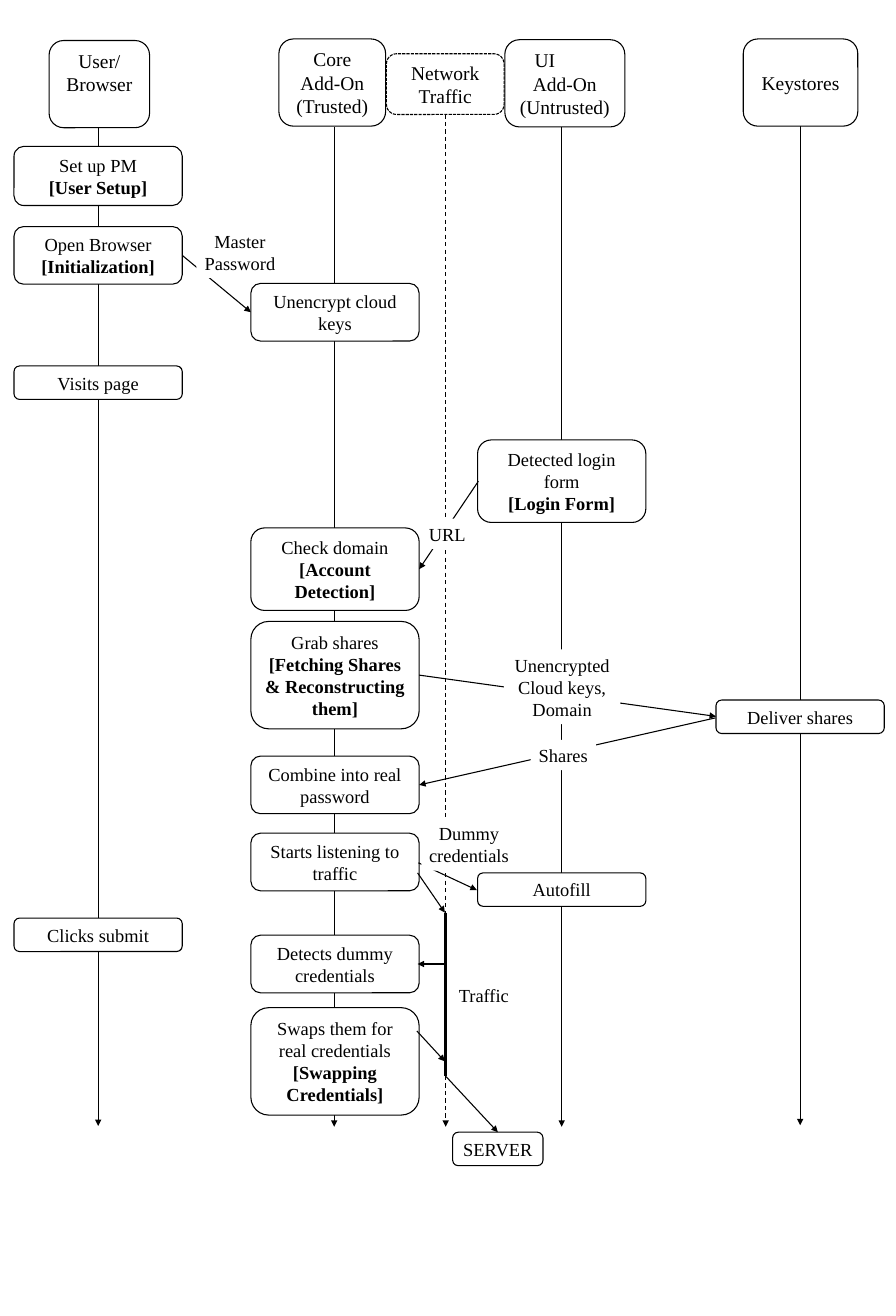
import pptx
import pptx.dml.color
import pptx.enum.dml
import pptx.enum.shapes
import pptx.enum.text
import pptx.oxml.ns
import pptx.util
from lxml import etree
from pptx.util import Inches

SHAPE = pptx.enum.shapes.MSO_SHAPE
DASH = pptx.enum.dml.MSO_LINE
ALIGN = pptx.enum.text.PP_ALIGN
ANCHOR = pptx.enum.text.MSO_ANCHOR
BLACK, WHITE = "000000", "FFFFFF"
HEADER_SIZE, STEP_SIZE = 18, 17
STEP_WIDTH = 2.16
ONE_LINE, TWO_LINES, THREE_LINES, FOUR_LINES = 0.43, 0.74, 1.06, 1.38
USER_X, CORE_X, UI_X, KEYSTORE_X = 0.18, 3.22, 6.13, 9.19
TRAFFIC_X = 5.72

# x, top, bottom, dash
LIFELINES = [
    (4.29, 1.63, 14.47, None),
    (7.21, 1.63, 14.47, None),
    (TRAFFIC_X, 1.47, 14.47, DASH.DASH),
    (1.26, 1.62, 14.46, None),
    (10.27, 1.61, 14.45, None),
]
# left, top, width, height, lines, anchor, dash
HEADERS = [
    (0.63, 0.52, 1.29, 1.12, ["User/", "Browser"], ANCHOR.TOP, None),
    (3.58, 0.5, 1.37, 1.12, ["Core", "Add-On", "(Trusted)"], ANCHOR.MIDDLE, None),
    (4.96, 0.69, 1.51, 0.78, ["Network Traffic"], ANCHOR.MIDDLE, DASH.SQUARE_DOT),
    (9.54, 0.5, 1.47, 1.12, ["Keystores"], ANCHOR.MIDDLE, None),
]
# left, top, height, lines
STEPS = [
    (USER_X, 1.88, 0.76, ["Set up PM", "[User Setup]"]),
    (USER_X, 2.91, TWO_LINES, ["Open Browser", "[Initialization]"]),
    (USER_X, 4.7, ONE_LINE, ["Visits page"]),
    (USER_X, 11.79, ONE_LINE, ["Clicks submit"]),
    (CORE_X, 3.64, TWO_LINES, ["Unencrypt cloud keys"]),
    (CORE_X, 6.78, THREE_LINES, ["Check domain", "[Account Detection]"]),
    (CORE_X, 7.98, FOUR_LINES,
     ["Grab shares", "[Fetching Shares & Reconstructing them]"]),
    (CORE_X, 9.71, TWO_LINES, ["Combine into real password"]),
    (CORE_X, 10.7, TWO_LINES, ["Starts listening to traffic"]),
    (CORE_X, 12.01, TWO_LINES, ["Detects dummy credentials"]),
    (CORE_X, 12.94, FOUR_LINES,
     ["Swaps them for real credentials", "[Swapping Credentials]"]),
    (UI_X, 5.65, THREE_LINES, ["Detected login form", "[Login Form]"]),
    (UI_X, 11.21, ONE_LINE, ["Autofill"]),
    (KEYSTORE_X, 8.99, ONE_LINE, ["Deliver shares"]),
]
MESSAGES = [
    ((2.34, 3.28), (3.22, 4.01)),
    ((6.14, 6.18), (5.38, 7.31)),
    ((5.38, 8.67), (9.19, 9.2)),
    ((9.18, 9.22), (5.38, 10.08)),
    ((5.37, 11.08), (6.12, 11.43)),
    ((5.36, 11.21), (5.71, 11.72)),
    ((5.7, 12.38), (5.36, 12.38)),
    ((5.35, 13.24), (5.71, 13.63)),
    ((TRAFFIC_X, 13.82), (6.39, 14.54)),
]
# left, top, width, height, lines
MESSAGE_LABELS = [
    (2.52, 2.9, 1.12, 0.67, ["Master", "Password"]),
    (5.4, 6.66, 0.68, 0.39, ["URL"]),
    (6.47, 8.34, 1.49, 0.96, ["Unencrypted", "Cloud keys,", "Domain"]),
    (6.81, 9.5, 0.84, 0.39, ["Shares"]),
    (5.41, 10.51, 1.22, 0.67, ["Dummy", "credentials"]),
    (5.77, 12.58, 0.88, 0.39, ["Traffic"]),
]


def color(hex_string):
    return pptx.dml.color.RGBColor.from_string(hex_string)


def apply_format(target, values):
    for name, value in values.items():
        setattr(target, name, value)


def style_line(line, width=1, dash=None):
    line.color.rgb = color(BLACK)
    apply_format(line, {"width": pptx.util.Pt(width), "dash_style": dash})


def write_lines(shape, lines, size, anchor, wrap):
    """Write one paragraph per line; bracketed phase names are bold."""
    frame = shape.text_frame
    apply_format(frame, {"word_wrap": wrap, "vertical_anchor": anchor})
    for index, text in enumerate(lines):
        paragraph = frame.paragraphs[0] if index == 0 else frame.add_paragraph()
        paragraph.alignment = ALIGN.CENTER
        run = paragraph.add_run()
        run.text = text
        apply_format(run.font, {
            "name": "Times New Roman",
            "size": pptx.util.Pt(size),
            "bold": text.startswith("["),
        })
        run.font.color.rgb = color(BLACK)


def add_panel(slide, kind, left, top, width, height):
    panel = slide.shapes.add_shape(
        kind, Inches(left), Inches(top), Inches(width), Inches(height))
    panel.shadow.inherit = False
    panel.fill.solid()
    panel.fill.fore_color.rgb = color(WHITE)
    return panel


def add_box(slide, left, top, width, height, lines, size=STEP_SIZE,
            anchor=ANCHOR.MIDDLE, dash=None):
    box = add_panel(slide, SHAPE.ROUNDED_RECTANGLE, left, top, width, height)
    style_line(box.line, dash=dash)
    write_lines(box, lines, size, anchor, True)
    return box


def add_label(slide, left, top, width, height, lines):
    label = add_panel(slide, SHAPE.RECTANGLE, left, top, width, height)
    label.line.fill.background()
    write_lines(label, lines, STEP_SIZE, ANCHOR.MIDDLE, False)


def add_line(slide, start, end, width=1, dash=None, arrow=True):
    line = slide.shapes.add_connector(
        pptx.enum.shapes.MSO_CONNECTOR.STRAIGHT,
        *(Inches(value) for value in (*start, *end)))
    style_line(line.line, width, dash)
    if arrow:
        etree.SubElement(line.line._get_or_add_ln(),
                         pptx.oxml.ns.qn("a:tailEnd"), type="triangle")
    etree.SubElement(line._element.spPr, pptx.oxml.ns.qn("a:effectLst"))


def add_ui_header(slide):
    """Add the UI header, whose first line is indented from the left."""
    header = add_box(slide, 6.48, 0.51, 1.54, 1.12,
                     ["UI", "Add-On", "(Untrusted)"], HEADER_SIZE)
    title = header.text_frame.paragraphs[0]
    title.alignment = ALIGN.LEFT
    title._p.get_or_add_pPr().set("marL", str(Inches(0.23)))


def main():
    deck = pptx.Presentation()
    apply_format(deck, {"slide_width": Inches(11.5), "slide_height": Inches(16.9)})
    slide = deck.slides.add_slide(deck.slide_layouts[6])

    for x, top, bottom, dash in LIFELINES:
        add_line(slide, (x, top), (x, bottom), dash=dash)
    for left, top, width, height, lines, anchor, dash in HEADERS:
        add_box(slide, left, top, width, height, lines, HEADER_SIZE, anchor, dash)
    add_ui_header(slide)
    for left, top, height, lines in STEPS:
        add_box(slide, left, top, STEP_WIDTH, height, lines)
    add_box(slide, 5.81, 14.54, 1.16, ONE_LINE, ["SERVER"])
    for start, end in MESSAGES:
        add_line(slide, start, end)
    add_line(slide, (TRAFFIC_X, 11.72), (TRAFFIC_X, 13.82), width=3, arrow=False)
    for label in MESSAGE_LABELS:
        add_label(slide, *label)

    deck.save("out.pptx")


if __name__ == "__main__":
    main()
